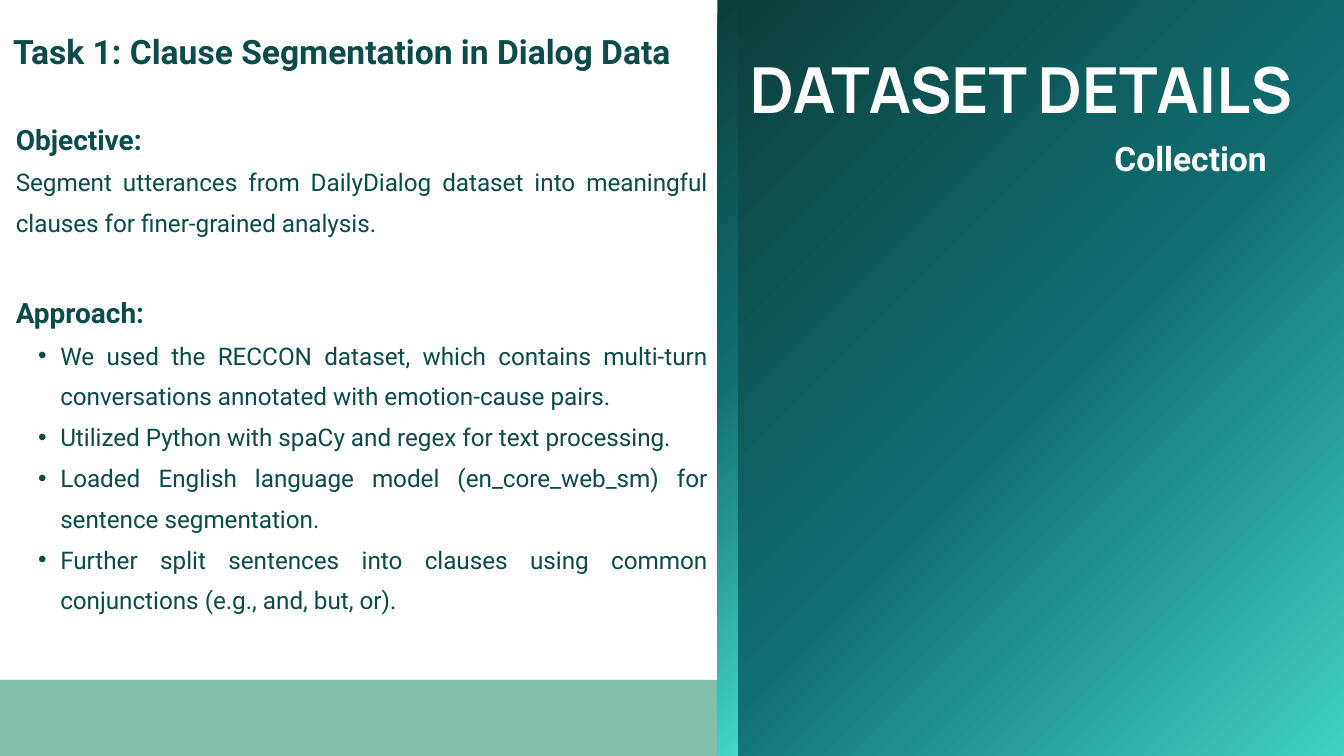
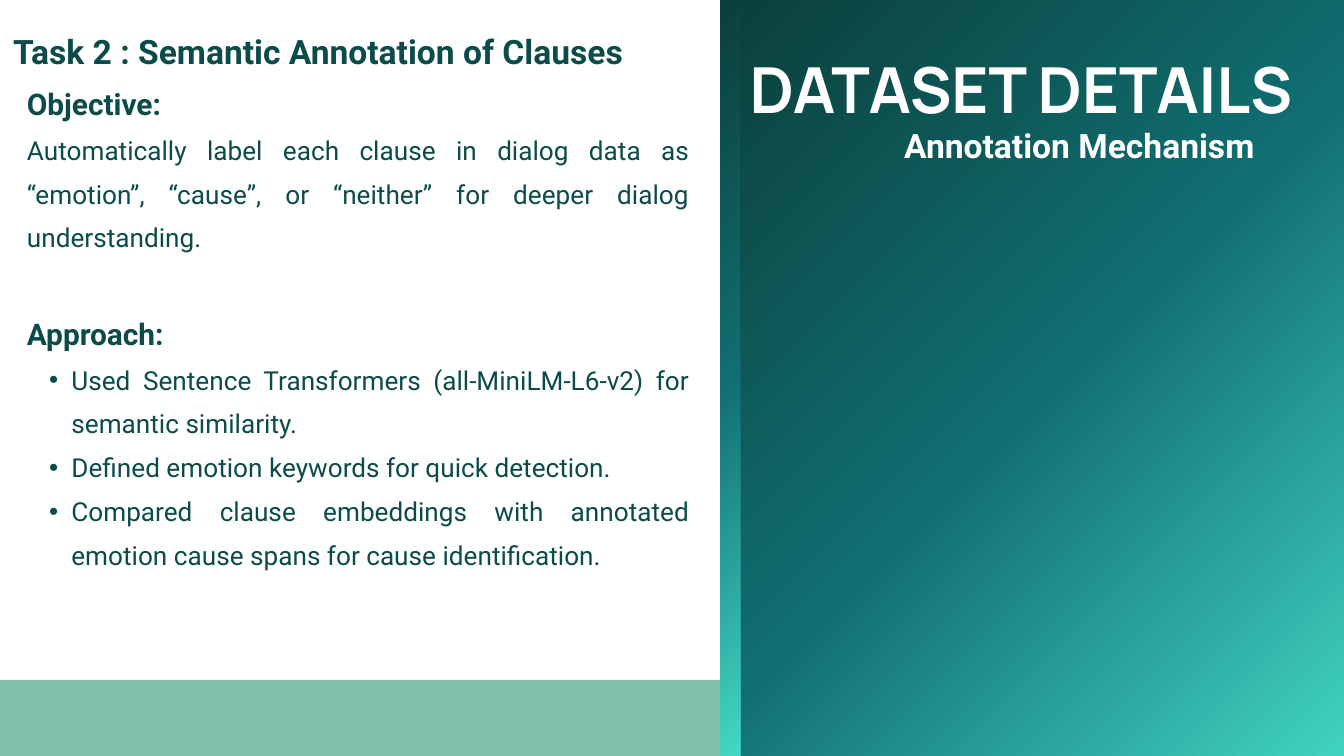
from copy import deepcopy
from dataclasses import dataclass

from lxml.etree import SubElement
from pptx import Presentation
from pptx.dml.color import RGBColor
from pptx.enum.shapes import MSO_SHAPE
from pptx.enum.text import MSO_AUTO_SIZE, PP_ALIGN
from pptx.oxml.ns import qn
from pptx.util import Cm, Pt

HEADING = "DATASET DETAILS"

# Boxes are left, top, width, height in cm.
SLIDES = [
    dict(
        title="Task 1: Clause Segmentation in Dialog Data",
        subtitle="Collection",
        objective="Segment utterances from DailyDialog dataset into meaningful "
                  "clauses for finer-grained analysis.",
        approach=[
            "We used the RECCON dataset, which contains multi-turn conversations "
            "annotated with emotion-cause pairs.",
            "Utilized Python with spaCy and regex for text processing.",
            "Loaded English language model (en_core_web_sm) for sentence segmentation.",
            "Further split sentences into clauses using common conjunctions "
            "(e.g., and, but, or).",
        ],
        body_size=13,
        body_box=(0.3, 2.06, 13.06, 10.44),
        subtitle_box=(21.06, 2.31, 3.45, 0.84),
        panel_left=13.74,
        strip_left=13.56,
    ),
    dict(
        title="Task 2 : Semantic Annotation of Clauses",
        subtitle="Annotation Mechanism",
        objective="Automatically label each clause in dialog data as “emotion”, "
                  "“cause”, or “neither” for deeper dialog understanding.",
        approach=[
            "Used Sentence Transformers (all-MiniLM-L6-v2) for semantic similarity.",
            "Defined emotion keywords for quick detection.",
            "Compared clause embeddings with annotated emotion cause spans for "
            "cause identification.",
        ],
        body_size=14,
        body_box=(0.51, 1.35, 12.52, 8.64),
        subtitle_box=(17.09, 2.06, 7.42, 0.76),
        panel_left=13.61,
        strip_left=13.61,
    ),
]


@dataclass(frozen=True)
class Theme:
    ink: str = "0B4B49"
    white: str = "FFFFFF"
    band: str = "80BFAC"
    gradient: tuple = ("0A3F3A", "116E71", "43D8C6")
    display_font: str = "Manrope"
    text_font: str = "Roboto"
    heading_size: int = 34
    title_size: int = 18
    label_step: int = 2      # section labels are this much larger than body text
    spacing: float = 1.4
    heading_spacing: float = 1.25
    section_gap: float = 1.84  # space above a section, in body sizes


T = Theme()
WIDTH, HEIGHT = 25.4, 14.29
PANEL_RIGHT = 26.11
STRIP_WIDTH = 0.38
BAND_BOX = (-0.43, 12.85, 14.17, 1.83)
TITLE_BOX = (0.25, 0.28, 13.06, 0.84)
HEADING_BOX = (14.17, 0.58, 11.94, 1.55)
BULLET_LEFT, BULLET_HANG = 0.84, 0.42


def add_block(s, box):
    sp = s.shapes.add_shape(MSO_SHAPE.RECTANGLE, *map(Cm, box))
    sp.shadow.inherit = False
    sp.line.fill.background()
    return sp


def add_gradient_block(s, box):
    sp = add_block(s, box)
    sp.fill.gradient()
    sp.fill.gradient_angle = 315  # top left to bottom right
    first = next(sp.element.spPr.iter(qn("a:gs")))
    first.addnext(deepcopy(first))
    for i, (stop, color) in enumerate(zip(sp.fill.gradient_stops, T.gradient)):
        stop.position = i / (len(T.gradient) - 1)
        stop.color.rgb = RGBColor.from_string(color)


def add_text_frame(s, box):
    tf = s.shapes.add_textbox(*map(Cm, box)).text_frame
    tf.margin_left = tf.margin_right = tf.margin_top = tf.margin_bottom = 0
    tf.word_wrap = True
    tf.auto_size = MSO_AUTO_SIZE.SHAPE_TO_FIT_TEXT
    return tf


def write(p, text, size, color=T.ink, bold=False, font=T.text_font,
          align=PP_ALIGN.JUSTIFY, spacing=T.spacing):
    p.alignment = align
    p.line_spacing = spacing
    r = p.add_run()
    r.text = text
    r.font.name = font
    r.font.size = Pt(size)
    r.font.bold = bold
    r.font.color.rgb = RGBColor.from_string(color)


def add_bullet(p):
    p.level = 1
    pPr = p._p.get_or_add_pPr()
    pPr.set("marL", str(Cm(BULLET_LEFT)))
    pPr.set("indent", str(-Cm(BULLET_HANG)))
    SubElement(SubElement(pPr, qn("a:buClr")), qn("a:srgbClr")).set("val", T.ink)
    SubElement(pPr, qn("a:buFont")).set("typeface", "Arial")
    SubElement(pPr, qn("a:buChar")).set("char", "•")


def add_body(s, d):
    size = d["body_size"]
    label_size = size + T.label_step
    tf = add_text_frame(s, d["body_box"])
    write(tf.paragraphs[0], "Objective:", label_size, bold=True)
    write(tf.add_paragraph(), d["objective"], size)
    p = tf.add_paragraph()
    write(p, "Approach:", label_size, bold=True)
    p.space_before = Pt(size * T.section_gap)
    for text in d["approach"]:
        p = tf.add_paragraph()
        write(p, text, size)
        add_bullet(p)


def add_slide(prs, d):
    s = prs.slides.add_slide(prs.slide_layouts[6])
    left = d["panel_left"]
    add_gradient_block(s, (left, 0, PANEL_RIGHT - left, HEIGHT))
    band = add_block(s, BAND_BOX)
    band.fill.solid()
    band.fill.fore_color.rgb = RGBColor.from_string(T.band)
    add_gradient_block(s, (d["strip_left"], 0, STRIP_WIDTH, HEIGHT))

    write(add_text_frame(s, HEADING_BOX).paragraphs[0], HEADING, T.heading_size,
          T.white, True, T.display_font, PP_ALIGN.LEFT, T.heading_spacing)
    write(add_text_frame(s, d["subtitle_box"]).paragraphs[0], d["subtitle"],
          T.title_size, T.white, True)
    write(add_text_frame(s, TITLE_BOX).paragraphs[0], d["title"],
          T.title_size, bold=True)
    add_body(s, d)


def main():
    prs = Presentation()
    prs.slide_width, prs.slide_height = Cm(WIDTH), Cm(HEIGHT)
    for d in SLIDES:
        add_slide(prs, d)
    prs.save("out.pptx")


if __name__ == "__main__":
    main()
